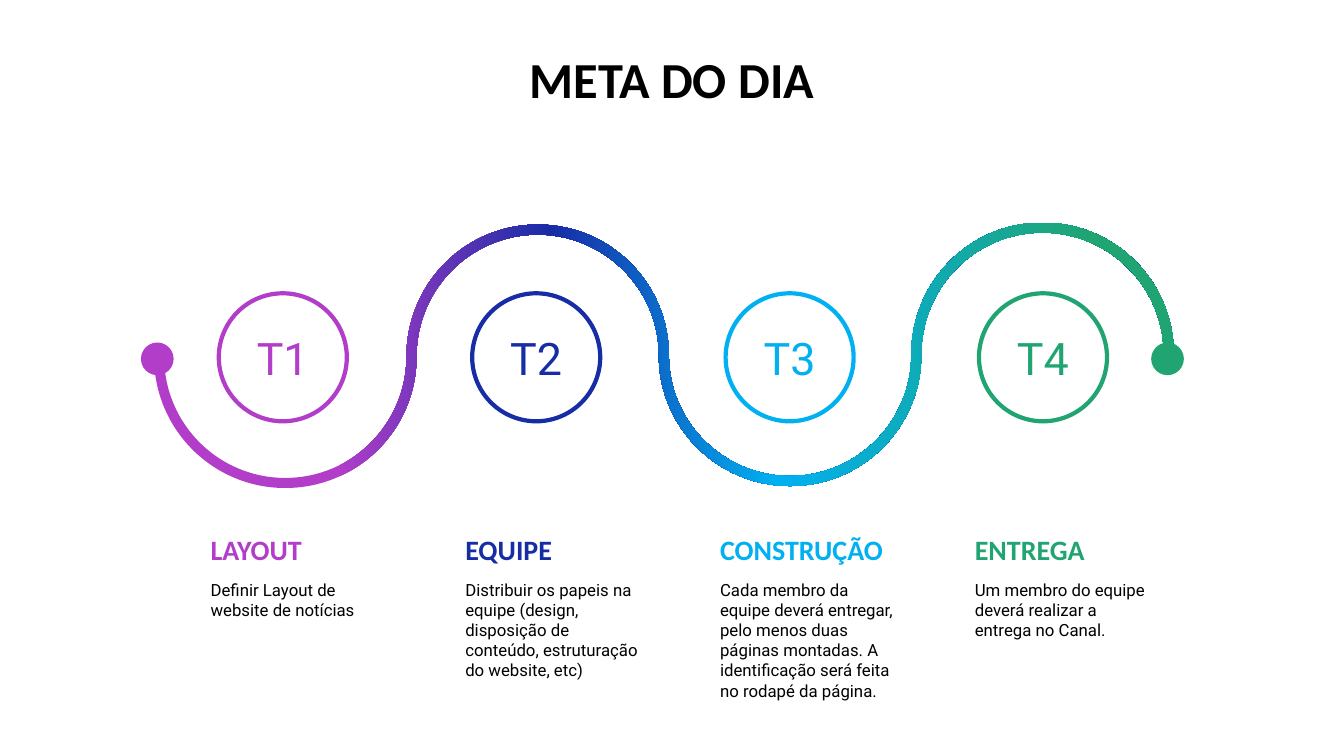
import copy
import math

import pptx
import pptx.dml.color
import pptx.enum.shapes
import pptx.enum.text
import pptx.oxml.ns
import pptx.util

Inches = pptx.util.Inches
RGBColor = pptx.dml.color.RGBColor
OVAL = pptx.enum.shapes.MSO_SHAPE.OVAL
ALIGN = pptx.enum.text.PP_ALIGN

PURPLE = RGBColor(0xB1, 0x3D, 0xC8)
NAVY = RGBColor(0x17, 0x2D, 0xA6)
SKY = RGBColor(0x00, 0xB0, 0xF0)
GREEN = RGBColor(0x20, 0xA4, 0x72)
WHITE = RGBColor(0xFF, 0xFF, 0xFF)
BLACK = RGBColor(0x00, 0x00, 0x00)

STEPS = [
    ("T1", "LAYOUT", PURPLE, 0.18, "Definir Layout de website de notícias"),
    ("T2", "EQUIPE", NAVY, 0.39,
     "Distribuir os papeis na equipe (design, disposição de conteúdo, "
     "estruturação do website, etc)"),
    ("T3", "CONSTRUÇÃO", SKY, 0.61,
     "Cada membro da equipe deverá entregar, pelo menos duas páginas montadas. "
     "A identificação será feita no rodapé da página."),
    ("T4", "ENTREGA", GREEN, 0.92,
     "Um membro do equipe deverá realizar a entrega no Canal."),
]

# Grid, in inches: first column and equal distance to the last one
GAPS = len(STEPS) - 1
CIRCLE_LEFT, CIRCLE_STEP = 2.17, (9.71 - 2.17) / GAPS
TEXT_LEFT, TEXT_STEP = 1.99, (9.57 - 1.99) / GAPS
ARC_CENTER, ARC_STEP = 2.83, (10.34 - 2.83) / GAPS
CIRCLE_ROW, DOT_ROW, WAVE_ROW = 2.91, 3.44, 3.54
HEADING_ROW, DETAIL_ROW = 5.27, 5.7
WAVE_HALF_WIDTH, WAVE_RISE = 0.05, 0.01

deck = pptx.Presentation()
deck.slide_width, deck.slide_height = Inches(13.33), Inches(7.5)
page = deck.slides.add_slide(deck.slide_layouts[6])


def write(box, text, size, color, font="Roboto", bold=False,
          align=ALIGN.LEFT, spacing=1.0, before=10):
    box.text_frame.word_wrap = True
    para = box.text_frame.paragraphs[0]
    para.alignment, para.line_spacing = align, spacing
    para.space_before = pptx.util.Pt(before)
    span = para.add_run()
    span.text = text
    span.font.name, span.font.size = font, pptx.util.Pt(size)
    span.font.bold, span.font.color.rgb = bold, color


def add_circle(left, top, size, fill, line, weight):
    circle = page.shapes.add_shape(OVAL, Inches(left), Inches(top),
                                   Inches(size), Inches(size))
    circle.shadow.inherit = False
    circle.fill.solid()
    circle.fill.fore_color.rgb = fill
    circle.line.color.rgb = line
    circle.line.width = pptx.util.Pt(weight)
    return circle


# Numbered circles
for column, (label, heading, color, stop, detail) in enumerate(STEPS):
    circle = add_circle(CIRCLE_LEFT + column * CIRCLE_STEP, CIRCLE_ROW, 1.27,
                        WHITE, color, 3)
    circle.text_frame.vertical_anchor = pptx.enum.text.MSO_ANCHOR.MIDDLE
    write(circle, label, 32, color, align=ALIGN.CENTER, before=0)

# Wave: both edges of a band of half circles, each made of two Bezier quarters
BEND = 4 / 3 * (math.sqrt(2) - 1)
HALF_CIRCLE = [(-1, BEND), (-BEND, 1), (0, 1), (BEND, 1), (1, BEND), (1, 0)]
edges = []
for side in (WAVE_HALF_WIDTH, -WAVE_HALF_WIDTH):
    start = ARC_CENTER - ARC_STEP / 2 - side
    edge = [(Inches(start), Inches(WAVE_ROW))]
    for column in range(len(STEPS)):
        turn = 1 if column % 2 == 0 else -1
        radius = ARC_STEP / 2 + side * turn
        center = ARC_CENTER + column * ARC_STEP
        middle = WAVE_ROW - column * WAVE_RISE
        edge += [(Inches(center + radius * across), Inches(middle + turn * radius * down))
                 for across, down in HALF_CIRCLE]
    edges.append(edge)
outline = edges[0] + edges[1][::-1]
builder = page.shapes.build_freeform(*outline[0])
builder.add_line_segments(outline[1:], close=True)
wave = builder.convert_to_shape()
wave.shadow.inherit = False
wave.line.fill.background()

# Every three points of an edge become one curve; one line joins the edges
segments = wave.element.xpath(".//a:lnTo")
join = len(edges[0]) - 1
for first in [*range(0, join, 3), *range(join + 1, len(segments), 3)]:
    curve = segments[first].makeelement(pptx.oxml.ns.qn("a:cubicBezTo"))
    segments[first].addprevious(curve)
    for segment in segments[first:first + 3]:
        curve.append(segment[0])
        segment.getparent().remove(segment)

# Wave colours: one gradient stop per step
wave.fill.gradient()
wave.fill.gradient_angle = 0
stop_list = wave.element.xpath(".//a:gsLst")[0]
for extra in range(len(STEPS) - len(stop_list)):
    stop_list.append(copy.deepcopy(stop_list[0]))
for gradient_stop, (label, heading, color, stop, detail) in zip(
        wave.fill.gradient_stops, STEPS):
    gradient_stop.color.rgb = color
    gradient_stop.position = stop

# Dots at the ends of the wave
for left, color in ((1.44, PURPLE), (11.46, GREEN)):
    add_circle(left, DOT_ROW, 0.24, color, color, 6)

# Headings and details
for column, (label, heading, color, stop, detail) in enumerate(STEPS):
    left = Inches(TEXT_LEFT + column * TEXT_STEP)
    box = page.shapes.add_textbox(left, Inches(HEADING_ROW), Inches(1.96), Inches(0.33))
    write(box, heading, 20, color, font="Calibri", bold=True, spacing=0.9)
    box = page.shapes.add_textbox(left, Inches(DETAIL_ROW), Inches(1.98), Inches(0.77))
    write(box, detail, 12, BLACK)

# Title
box = page.shapes.add_textbox(Inches(0.25), Inches(0.5), Inches(12.83), Inches(0.69))
write(box, "META DO DIA", 36, BLACK, font="Calibri", bold=True,
      align=ALIGN.CENTER, spacing=0.9)

deck.save("out.pptx")
